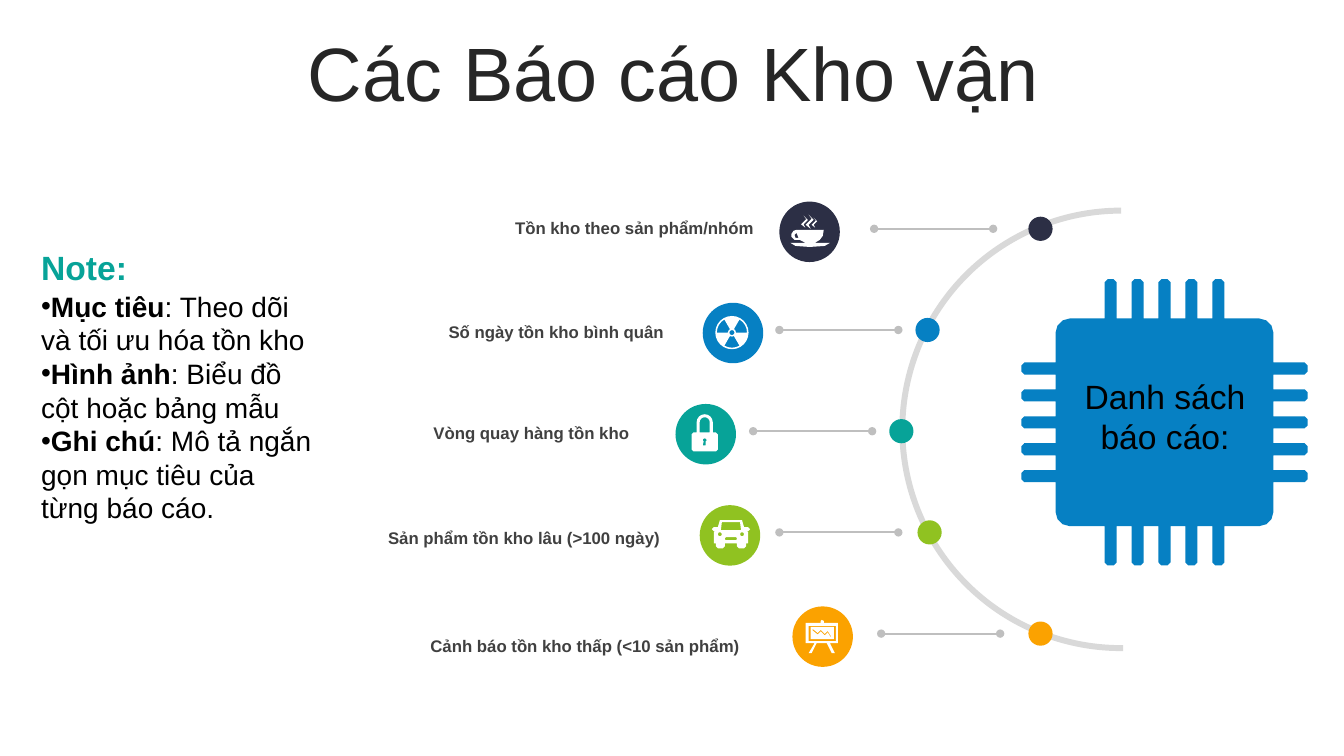
from math import cos, radians, sin

from lxml import etree
from pptx import Presentation
from pptx.dml.color import RGBColor
from pptx.enum.shapes import MSO_CONNECTOR as CONN, MSO_SHAPE as SHAPE
from pptx.enum.text import MSO_ANCHOR as ANCHOR, MSO_AUTO_SIZE as AUTO, PP_ALIGN as ALIGN
from pptx.oxml.ns import qn
from pptx.util import Inches, Pt

FONT = "Arial"
NAVY = RGBColor(0x2C, 0x2F, 0x45)
BLUE = RGBColor(0x06, 0x80, 0xC3)
TEAL = RGBColor(0x07, 0xA3, 0x98)
GREEN = RGBColor(0x90, 0xC2, 0x21)
ORANGE = RGBColor(0xFB, 0xA2, 0x00)
WHITE = RGBColor(0xFF, 0xFF, 0xFF)
BLACK = RGBColor(0, 0, 0)
TITLE_GREY = RGBColor(0x26, 0x26, 0x26)
LABEL_GREY = RGBColor(0x40, 0x40, 0x40)
LINE_GREY = RGBColor(0xBF, 0xBF, 0xBF)
ARC_GREY = RGBColor(0xD9, 0xD9, 0xD9)

# label, colour, label left, label top, disc left, connector left, dot left
REPORTS = [
    ("Tồn kho theo sản phẩm/nhóm", NAVY, 5.01, 2.11, 7.73, 8.67, 10.2),
    ("Số ngày tồn kho bình quân", BLUE, 4.35, 3.14, 6.97, 7.73, 9.08),
    ("Vòng quay hàng tồn kho", TEAL, 4.2, 4.14, 6.7, 7.47, 8.82),
    ("Sản phẩm tồn kho lâu (>100 ngày)", GREEN, 3.75, 5.19, 6.94, 7.73, 9.1),
    ("Cảnh báo tồn kho thấp (<10 sản phẩm)", ORANGE, 4.17, 6.26, 7.86, 8.74, 10.2),
]
ROW_STEP = 1.004

NOTES = [
    ("Mục tiêu", ": Theo dõi và tối ưu hóa tồn kho"),
    ("Hình ảnh", ": Biểu đồ cột hoặc bảng mẫu"),
    ("Ghi chú", ": Mô tả ngắn gọn mục tiêu của từng báo cáo."),
]


def add_oval(s, left, top, size, color):
    sp = s.shapes.add_shape(SHAPE.OVAL, *map(Inches, (left, top, size, size)))
    sp.shadow.inherit = False
    sp.fill.solid()
    sp.fill.fore_color.rgb = color
    sp.line.fill.background()


def add_outline(s, color, *contours):
    """One filled freeform; a contour inside another one is a hole."""
    builder = None
    for contour in contours:
        start, *rest = [(Inches(x), Inches(y)) for x, y in contour]
        if builder is None:
            builder = s.shapes.build_freeform(*start)
        else:
            builder.move_to(*start)
        builder.add_line_segments(rest, close=True)
    sp = builder.convert_to_shape()
    sp.shadow.inherit = False
    sp.fill.solid()
    sp.fill.fore_color.rgb = color
    sp.line.fill.background()


def arc(cx, cy, radius, start=0, end=360, steps=12):
    turns = [radians(start + (end - start) * i / steps) for i in range(steps + 1)]
    return [(cx + radius * cos(a), cy + radius * sin(a)) for a in turns]


def rect(left, top, right, bottom, cut=0):
    """Rectangle whose corners are cut off when cut is given."""
    if not cut:
        return [(left, top), (right, top), (right, bottom), (left, bottom)]
    return [(left + cut, top), (right - cut, top), (right, top + cut), (right, bottom - cut),
            (right - cut, bottom), (left + cut, bottom), (left, bottom - cut), (left, top + cut)]


def style(r, size, color, bold=False):
    r.font.name = FONT
    r.font.size = Pt(size)
    r.font.color.rgb = color
    r.font.bold = bold


def add_frame(s, box):
    tf = s.shapes.add_textbox(*map(Inches, box)).text_frame
    tf.word_wrap = True
    tf.auto_size = AUTO.SHAPE_TO_FIT_TEXT
    return tf


def add_text(s, box, text, size, color, bold=False, align=ALIGN.LEFT):
    tf = add_frame(s, box)
    p = tf.paragraphs[0]
    p.text = text
    p.alignment = align
    style(p.runs[0], size, color, bold)
    return tf


def add_title(s):
    tf = add_text(s, (0.35, 0.37, 12.66, 0.79), "Các Báo cáo Kho vận", 54,
                  TITLE_GREY, align=ALIGN.CENTER)
    tf.auto_size = AUTO.NONE
    tf.vertical_anchor = ANCHOR.MIDDLE
    tf.paragraphs[0].line_spacing = 0.9
    tf.paragraphs[0].space_before = Pt(10)


def add_notes_panel(s):
    tf = add_frame(s, (0.31, 2.82, 2.96, 2.79))
    for i, (head, body) in enumerate(NOTES):
        p = tf.paragraphs[0] if i == 0 else tf.add_paragraph()
        for text, bold in ((head, True), (body, False)):
            r = p.add_run()
            r.text = text
            style(r, 20, BLACK, bold)
        pPr = p._p.get_or_add_pPr()
        etree.SubElement(pPr, qn("a:buFont")).set("typeface", FONT)
        etree.SubElement(pPr, qn("a:buChar")).set("char", "•")
    add_text(s, (0.31, 2.4, 2.96, 0.5), "Note:", 24, TEAL, bold=True)


def chip_side(half, depth):
    """Upper side from left to right around the chip centre: five pins, then a corner."""
    points = [(0.14 - half, -depth)]
    for i in range(-2, 3):
        left, right = 0.267 * i - 0.06, 0.267 * i + 0.06
        points += [(left, -depth), (left, -1.39), (left + 0.03, -1.42),
                   (right - 0.03, -1.42), (right, -1.39), (right, -depth)]
    return points + arc(half - 0.14, 0.14 - depth, 0.14, -90, 0, 3)


def add_chip(s):
    outline = []
    for quarter in range(4):
        half, depth = (1.03, 1.08) if quarter % 2 else (1.08, 1.03)
        for x, y in chip_side(half, depth):
            for _ in range(quarter):
                x, y = -y, x
            outline.append((11.55 + x, 4.19 + y))
    add_outline(s, BLUE, outline)


def add_half_circle(s):
    sp = s.shapes.add_shape(SHAPE.ARC, *map(Inches, (8.95, 2.09, 4.34, 4.34)))
    sp.adjustments[0], sp.adjustments[1] = 53.67, 162
    sp.shadow.inherit = False
    sp.fill.background()
    sp.line.color.rgb = ARC_GREY
    sp.line.width = Pt(4.25)


def add_dotted_connector(s, left, y):
    cx = s.shapes.add_connector(CONN.STRAIGHT, Inches(left + 1.18), Inches(y),
                                Inches(left), Inches(y))
    cx.line.color.rgb = LINE_GREY
    cx.line.width = Pt(1.5)
    ln = cx.line._get_or_add_ln()
    for end in ("a:headEnd", "a:tailEnd"):
        etree.SubElement(ln, qn(end)).set("type", "oval")
    etree.SubElement(cx._element.spPr, qn("a:effectLst"))


def add_report(s, row, report):
    label, color, text_left, text_top, disc_left, line_left, dot_left = report
    y = ROW_STEP * row
    add_oval(s, dot_left, 2.15 + y, 0.24, color)
    add_oval(s, disc_left, 2 + y, 0.6, color)
    add_dotted_connector(s, line_left, 2.27 + y)
    add_text(s, (text_left, text_top, 5.05, 0.3), label, 12, LABEL_GREY, bold=True)


def add_cup_icon(s):
    cup = [(8.17, 2.28), (8.16, 2.34), (8.13, 2.38), (8.08, 2.41), (7.99, 2.41), (7.93, 2.38),
           (7.88, 2.38), (7.85, 2.35), (7.85, 2.32), (7.87, 2.29), (7.9, 2.28)]
    handle = [(7.9, 2.31), (7.92, 2.36), (7.89, 2.36), (7.88, 2.33)]
    saucer = [(7.84, 2.41), (8.23, 2.41), (8.18, 2.44), (8.03, 2.45), (7.89, 2.44)]
    wisp = [(0, 0), (0.03, 0.04), (-0.03, 0.1), (0.02, 0.14), (0, 0.1), (0.05, 0.05)]
    steam = [[(x + k * dx, y + k * dy) for dx, dy in wisp]
             for x, y, k in ((7.97, 2.14, 0.85), (8.02, 2.13, 1), (8.07, 2.16, 0.7))]
    add_outline(s, WHITE, cup, handle, saucer, *steam)


def add_radiation_icon(s):
    x, y = 7.26, 3.3
    blades = [arc(x, y, 0.15, a, a + 60, 4) + arc(x, y, 0.04, a + 60, a, 2)
              for a in (60, 180, 300)]
    add_outline(s, WHITE, arc(x, y, 0.165, steps=24), arc(x, y, 0.025), *blades)


def add_lock_icon(s):
    body = [(7.07, 4.29), (7.1, 4.29), (7.12, 4.31), (7.12, 4.46), (7.1, 4.48), (6.88, 4.48),
            (6.86, 4.46), (6.86, 4.31), (6.88, 4.29), (6.91, 4.29)]
    shackle = arc(6.99, 4.19, 0.08, 180, 360, 8)
    gap = [(6.94, 4.29)] + arc(6.99, 4.19, 0.05, 180, 360, 8) + [(7.04, 4.29)]
    keyhole = [(6.98, 4.38)] + arc(6.99, 4.37, 0.02, 180, 360, 6) + [
        (7.0, 4.38), (7.0, 4.42), (6.97, 4.42)]
    add_outline(s, WHITE, body + shackle, gap, keyhole)


def add_car_icon(s):
    half = [(0.11, -0.14), (0.13, -0.07), (0.17, -0.07), (0.19, -0.05), (0.17, -0.03),
            (0.16, -0.03), (0.17, -0.02), (0.17, 0.09), (0.15, 0.09), (0.15, 0.12),
            (0.13, 0.14), (0.08, 0.14), (0.06, 0.12), (0.06, 0.09)]
    body = [(7.25 + x, 5.3 + y) for x, y in half]
    body += [(7.25 - x, 5.3 + y) for x, y in reversed(half)]
    window = [(7.16, 5.18), (7.34, 5.18), (7.35, 5.26), (7.15, 5.26)]
    lamps = [arc(x, 5.3, 0.02, steps=8) for x in (7.14, 7.36)]
    add_outline(s, WHITE, body, window, rect(7.19, 5.33, 7.31, 5.36, 0.01), *lamps)


def add_easel_icon(s):
    board = [(8.14, 6.18), (8.14, 6.16), (8.15, 6.15), (8.17, 6.16), (8.17, 6.18), (8.31, 6.18),
             (8.31, 6.38), (8.23, 6.38), (8.28, 6.48), (8.25, 6.48), (8.2, 6.38), (8.1, 6.38),
             (8.05, 6.48), (8.02, 6.48), (8.08, 6.38), (7.99, 6.38), (7.99, 6.18)]
    trend = [(8.06, 6.24), (8.11, 6.28), (8.14, 6.25), (8.18, 6.29), (8.21, 6.26), (8.24, 6.31)]
    band = trend + [(x, y + 0.015) for x, y in reversed(trend)]
    add_outline(s, WHITE, board, rect(8.02, 6.21, 8.29, 6.36), rect(8.04, 6.22, 8.27, 6.34), band)


def main():
    prs = Presentation()
    prs.slide_width, prs.slide_height = Inches(13.33), Inches(7.5)
    s = prs.slides.add_slide(prs.slide_layouts[6])

    # Title, half circle and chip
    add_title(s)
    add_half_circle(s)
    add_chip(s)
    add_text(s, (10.6, 3.68, 1.91, 0.91), "Danh sách báo cáo:", 24, BLACK, align=ALIGN.CENTER)

    # One row per report, each with its icon
    for row, report in enumerate(REPORTS):
        add_report(s, row, report)
    for add_icon in (add_cup_icon, add_radiation_icon, add_lock_icon, add_car_icon,
                     add_easel_icon):
        add_icon(s)

    add_notes_panel(s)
    prs.save("out.pptx")


if __name__ == "__main__":
    main()
